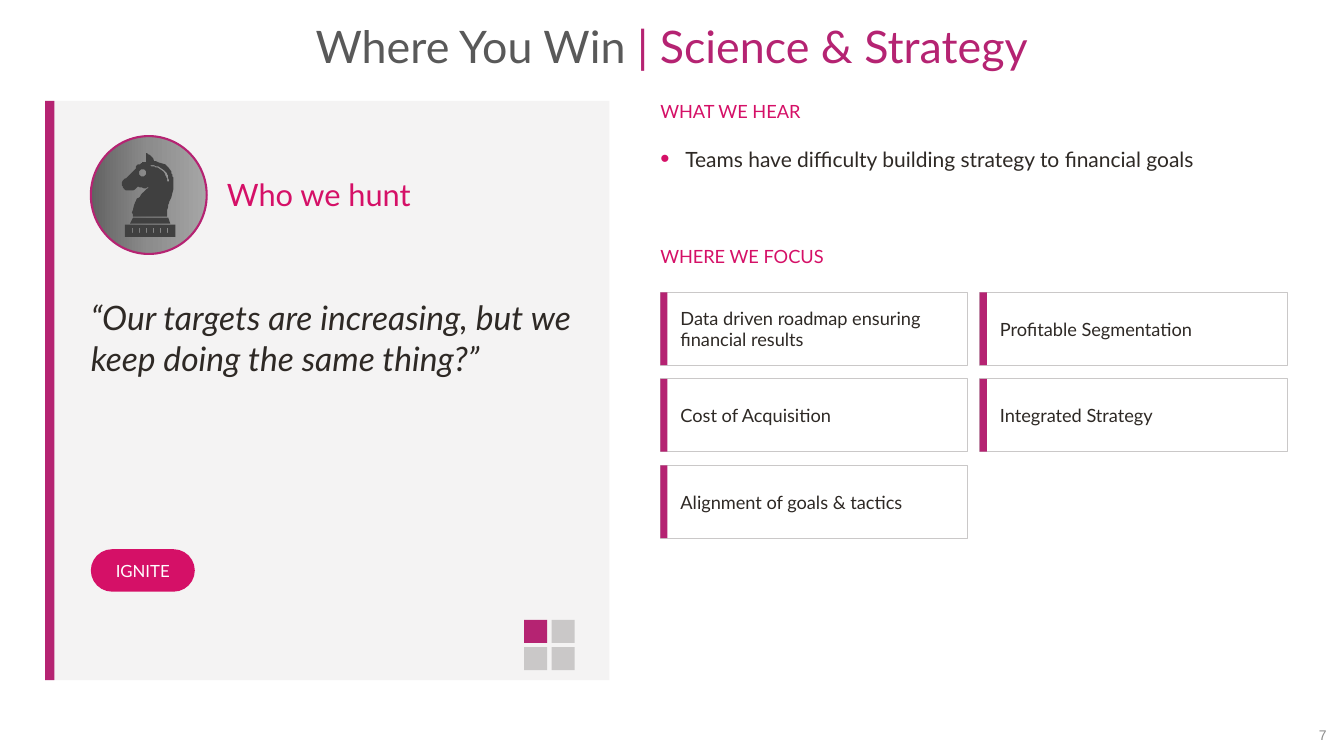
from copy import deepcopy
from math import cos, sin, pi
from lxml import etree
from pptx import Presentation
from pptx.dml.color import RGBColor
from pptx.enum import shapes as sh, text as tx
from pptx.oxml.ns import qn
from pptx.util import Cm, Pt

# Content
TITLE = ["Where You Win ", "| Science & Strategy"]
HUNT = "Who we hunt"
QUOTE = "“Our targets are increasing, but we keep doing the same thing?”"
TAG = "IGNITE"
HEAR = "WHAT WE HEAR"
POINTS = ["Teams have difficulty building strategy to financial goals"]
FOCUS = "WHERE WE FOCUS"
CARDS = ["Data driven roadmap ensuring financial results", "Profitable Segmentation",
         "Cost of Acquisition", "Integrated Strategy", "Alignment of goals & tactics"]
PAGE = "7"

# Colours
PLUM = RGBColor(0xB5, 0x23, 0x72)
PINK = RGBColor(0xD5, 0x10, 0x67)
INK = RGBColor(0x2E, 0x29, 0x25)
GREY = RGBColor(0x59, 0x59, 0x59)
PALE = RGBColor(0xF4, 0xF3, 0xF3)
EDGE = RGBColor(0xCA, 0xC8, 0xC8)
DARK = RGBColor(0x40, 0x40, 0x40)
MUTE = RGBColor(0x8C, 0x8C, 0x8C)
WHITE = RGBColor(0xFF, 0xFF, 0xFF)
SHADES = [RGBColor(0x62, 0x62, 0x62), MUTE, RGBColor(0xA6, 0xA6, 0xA6)]

# Knight outlines: pairs are corners, sixes are curves; one unit is UNIT
UNIT = Cm(0.0254)
HEAD = [(146, 152), (146, 152, 151, 154, 153, 160), (155, 160, 165, 161, 170, 170),
        (171, 173, 172, 176, 172, 180), (172, 184, 172, 192, 168, 200),
        (168, 200, 165, 209, 166, 215), (132, 215), (131, 212, 131, 204, 136, 197),
        (138, 196), (139, 194, 142, 190, 148, 186), (145, 187, 141, 187, 137, 185),
        (136, 187, 132, 190, 127, 189), (125, 189, 123, 188, 122, 186),
        (121, 184, 120, 181, 124, 177), (124, 177, 131, 172, 134, 168),
        (135, 165, 137, 163, 140, 162), (141, 161, 143, 161, 145, 161), (145, 152)]
MANE = [(150, 164), (149, 164.5), (150, 165), (152, 165), (152, 165, 160, 166, 164, 173),
        (165, 175, 166, 177, 166, 180), (168, 180), (167, 177, 167, 174, 166, 172),
        (161, 165, 152, 164, 152, 164)]
NECK = [(132, 216), (167, 216), (169, 222), (129, 222)]
BASE = [(124, 223), (174, 223), (174, 235), (124, 235)]
EYE = [(141.5 + 3.5 * cos(k * pi / 12), 171.5 + 3.5 * sin(k * pi / 12)) for k in range(24)]
SLOTS = [[(x, 226), (x + 1, 226), (x + 1, 231), (x, 231)] for x in range(131, 167, 7)]

deck = Presentation()
deck.slide_width, deck.slide_height = Cm(33.87), Cm(19.05)
slide = deck.slides.add_slide(deck.slide_layouts[1])
parts = slide.shapes


def place(item, left, top, wide, high):
    item.left, item.top, item.width, item.height = map(Cm, (left, top, wide, high))


def write(item, words, size, color, anchor="TOP", align="LEFT", pads=(0, 0, 0, 0), font="Lato"):
    frame = item.text_frame
    frame.text = words
    frame.word_wrap = True
    frame.auto_size = tx.MSO_AUTO_SIZE.NONE
    frame.vertical_anchor = tx.MSO_ANCHOR[anchor]
    (frame.margin_left, frame.margin_top,
     frame.margin_right, frame.margin_bottom) = map(Cm, pads)
    for para in frame.paragraphs:
        para.alignment = tx.PP_ALIGN[align]
        for run in para.runs:
            style(run, size, color, font)
    return frame


def style(run, size, color, font="Lato"):
    run.font.size, run.font.name = Pt(size), font
    run.font.color.rgb = color


def label(area, *args, **more):
    return write(parts.add_textbox(*map(Cm, area)), *args, **more)


def paint(item, fill, line=None, width=0.75):
    item.shadow.inherit = False
    item.fill.solid()
    item.fill.fore_color.rgb = fill
    if line is None:
        item.line.fill.background()
    else:
        item.line.color.rgb, item.line.width = line, Pt(width)
    return item


def block(area, fill, line=None, width=0.75, kind="RECTANGLE"):
    return paint(parts.add_shape(sh.MSO_SHAPE[kind], *map(Cm, area)), fill, line, width)


def trace(steps, count=6):
    dots = [steps[0]]
    for step in steps[1:]:
        if len(step) == 2:
            dots.append(step)
            continue
        x, y = dots[-1]
        a, b, c, d, e, f = step
        for k in range(1, count + 1):
            t = k / count
            s = 1 - t
            w = s ** 3, 3 * s * s * t, 3 * s * t * t, t ** 3
            dots.append((w[0] * x + w[1] * a + w[2] * c + w[3] * e,
                         w[0] * y + w[1] * b + w[2] * d + w[3] * f))
    return dots


# Title
title = parts.title
place(title, 0, 0.64, 33.86, 1.19)
frame = write(title, TITLE[0], 32, GREY, "MIDDLE", "CENTER")
para = frame.paragraphs[0]
para.line_spacing = 0.9
run = para.add_run()
run.text = TITLE[1]
style(run, 32, PLUM)

# Page number
label((24.79, 18.06, 8.97, 0.91), PAGE, 10, MUTE, "MIDDLE", "RIGHT",
      (0.33, 0.18, 0.33, 0.18), "Arial")

# Left panel
block((1.14, 2.54, 14.22, 14.6), PALE)
block((1.14, 2.54, 0.23, 14.6), PLUM)

# Badge with a knight
badge = block((2.29, 3.43, 2.92, 2.97), MUTE, PLUM, 1.5, "OVAL")
badge.fill.gradient()
badge.fill.gradient_angle = 0
stops = badge._element.spPr.find(".//" + qn("a:gsLst"))
stops.append(deepcopy(stops[-1]))
for k, (stop, shade) in enumerate(zip(badge.fill.gradient_stops, SHADES)):
    stop.position = k / 2
    stop.color.rgb = shade

pen = parts.build_freeform(*HEAD[0], scale=UNIT)
for k, steps in enumerate([HEAD, MANE, EYE, NECK, BASE, *SLOTS]):
    dots = trace(steps)
    if k:
        pen.move_to(*dots[0])
    pen.add_line_segments(dots[1:], close=True)
paint(pen.convert_to_shape(), DARK)

# Panel text
label((5.72, 3.43, 9.14, 2.92), HUNT, 22, PINK, "MIDDLE")
quote = label((2.29, 7.49, 12.32, 5.84), QUOTE, 24, INK)
quote.paragraphs[0].runs[0].font.italic = True
pill = block((2.29, 13.84, 2.62, 1.07), PINK, kind="ROUNDED_RECTANGLE")
pill.adjustments[0] = 0.5
write(pill, TAG, 12, WHITE, "MIDDLE", "CENTER", (0.1, 0, 0.1, 0))

# Quadrant marker
for k in range(4):
    row, col = divmod(k, 2)
    block((13.21 + 0.69 * col, 15.62 + 0.69 * row, 0.58, 0.58), EDGE if k else PLUM)

# What we hear
label((16.64, 2.54, 16, 1.02), HEAR, 13, PINK)
body = slide.placeholders[1]
place(body, 16.64, 3.68, 16, 1.57)
for para in write(body, "\n".join(POINTS), 15, INK).paragraphs:
    para.space_before = Pt(0)
    props = para._p.get_or_add_pPr()
    props.set("marL", str(Cm(0.63)))
    props.set("indent", str(-Cm(0.63)))
    tint = etree.SubElement(props, qn("a:buClr"))
    etree.SubElement(tint, qn("a:srgbClr"), val=str(PINK))
    etree.SubElement(props, qn("a:buSzPct"), val="125000")
    etree.SubElement(props, qn("a:buFont"), typeface="Arial")
    etree.SubElement(props, qn("a:buChar"), char="•")

# Where we focus
label((16.64, 6.17, 16, 1.02), FOCUS, 13, PINK)
for k, words in enumerate(CARDS):
    row, col = divmod(k, 2)
    left, top = 16.64 + 8.05 * col, 7.37 + 2.18 * row
    card = block((left, top, 7.75, 1.83), WHITE, EDGE)
    write(card, words, 13, INK, "MIDDLE", pads=(0.51, 0, 0.25, 0))
    block((left, top, 0.18, 1.83), PLUM)

deck.save("out.pptx")
